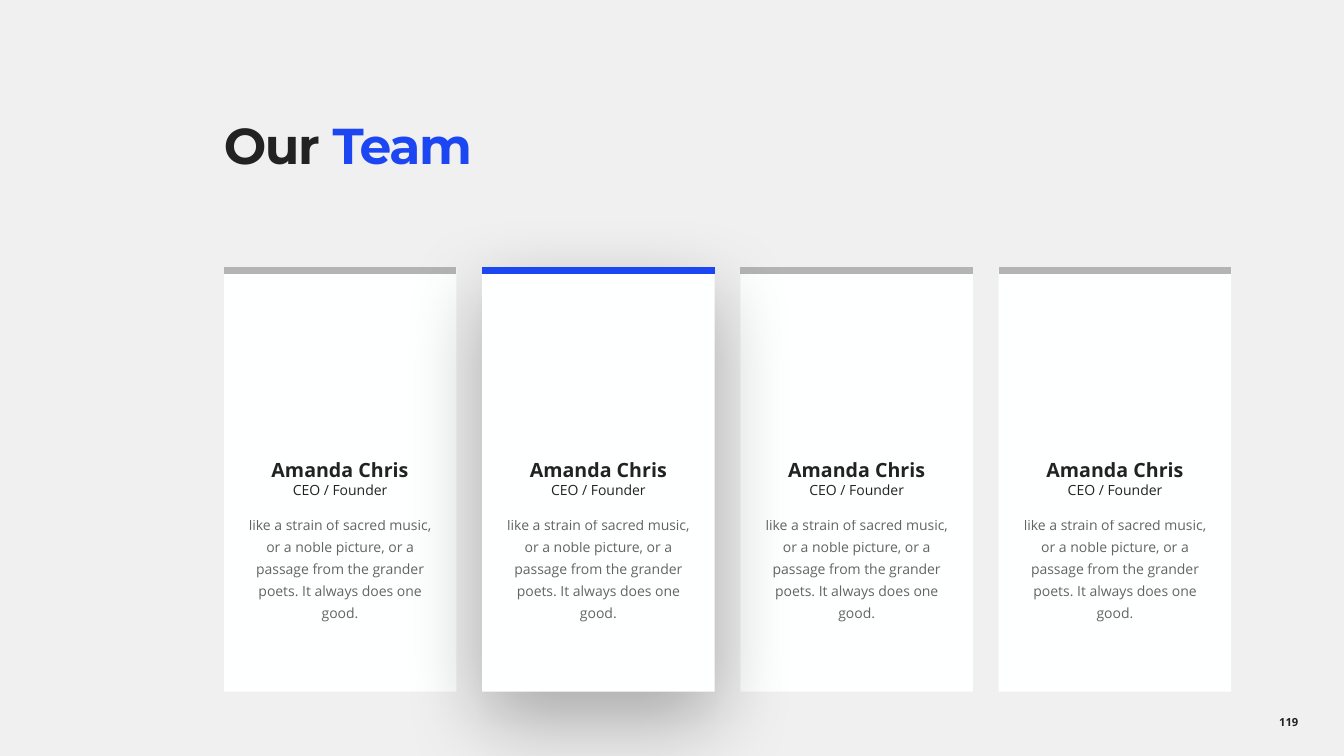
from copy import deepcopy

from lxml.etree import SubElement
from pptx import Presentation
from pptx.dml.color import RGBColor
from pptx.enum.shapes import MSO_CONNECTOR, MSO_SHAPE
from pptx.enum.text import MSO_ANCHOR as Anchor, PP_ALIGN as Align
from pptx.oxml.ns import qn
from pptx.util import Cm, Pt

TITLE = [("Our ", "ink"), ("Team", "blue")]
PAGE_NUMBER = "119"
BIO = ("like a strain of sacred music, or a noble picture, or a passage "
       "from the grander poets. It always does one good.")
MEMBERS = [("Amanda Chris", "CEO / Founder", BIO)] * 4
FEATURED = 1

COLOURS = {
    "background": "F0F0F0",
    "card": "FEFFFF",
    "ink": "222222",
    "blue": "1D46F3",
    "grey": "B4B4B4",
    "shadow": "000000",
}
HEADING_FONT, BODY_FONT = "Montserrat", "Open Sans"

CARD_LEFT, CARD_TOP = 5.64, 6.73
CARD_WIDTH, CARD_HEIGHT = 5.86, 10.7
CARD_PITCH = 6.51
BAR_WEIGHT = Pt(5)


def rgb(name):
    return RGBColor.from_string(COLOURS[name])


def style_run(run, size, font_name=BODY_FONT, bold=False, colour="ink"):
    run.font.name = font_name
    run.font.size = Pt(size)
    run.font.bold = bold
    run.font.color.rgb = rgb(colour)


def set_margins(text_frame, left, top, right, bottom):
    text_frame.margin_left, text_frame.margin_top = Cm(left), Cm(top)
    text_frame.margin_right, text_frame.margin_bottom = Cm(right), Cm(bottom)


def add_alpha(colour_element, percent):
    SubElement(colour_element, qn("a:alpha"), val=str(percent * 1000))


def cast_shadow(shape):
    """Give the shape a wide, soft shadow that falls straight down."""
    effects = shape._element.spPr.find(qn("a:effectLst"))
    shadow = SubElement(effects, qn("a:outerShdw"), blurRad=str(Pt(60)),
                        dist=str(Pt(20)), dir="5400000", algn="t",
                        rotWithShape="0")
    colour = SubElement(shadow, qn("a:srgbClr"), val=COLOURS["shadow"])
    add_alpha(colour, 30)


def write_member(text_frame, name, role, bio):
    text_frame.word_wrap = True
    text_frame.vertical_anchor = Anchor.TOP
    set_margins(text_frame, 0.51, 4.8, 0.51, 0.13)

    heading = text_frame.paragraphs[0]
    heading.text = f"{name}\v{role}"
    heading.alignment = Align.CENTER
    name_run, role_run = heading.runs
    style_run(name_run, 14, bold=True)
    style_run(role_run, 10)
    line_break = heading._p.find(qn("a:br"))
    line_break.append(deepcopy(name_run._r.rPr))

    description = text_frame.add_paragraph()
    description.text = bio
    description.alignment = Align.CENTER
    description.line_spacing = 1.3
    description.space_before = Pt(10)
    bio_run = description.runs[0]
    style_run(bio_run, 10)
    add_alpha(bio_run._r.rPr.find(".//" + qn("a:srgbClr")), 70)


def add_card(slide, index, member):
    featured = index == FEATURED
    left = CARD_LEFT + index * CARD_PITCH
    group = slide.shapes.add_group_shape()

    card = group.shapes.add_shape(MSO_SHAPE.RECTANGLE, Cm(left), Cm(CARD_TOP),
                                  Cm(CARD_WIDTH), Cm(CARD_HEIGHT))
    card.shadow.inherit = False
    card.fill.solid()
    card.fill.fore_color.rgb = rgb("card")
    card.line.fill.background()
    if featured:
        cast_shadow(card)
    write_member(card.text_frame, *member)

    bar_y = Cm(CARD_TOP) + BAR_WEIGHT // 2
    bar = group.shapes.add_connector(MSO_CONNECTOR.STRAIGHT, Cm(left), bar_y,
                                     Cm(left + CARD_WIDTH), bar_y)
    bar.line.color.rgb = rgb("blue" if featured else "grey")
    bar.line.width = BAR_WEIGHT
    SubElement(bar._element.spPr, qn("a:effectLst"))


def add_title(slide):
    box = slide.shapes.add_textbox(Cm(CARD_LEFT), Cm(2.64), Cm(25.43), Cm(3.48))
    box.text_frame.word_wrap = True
    set_margins(box.text_frame, 0, 0.53, 0, 0)
    paragraph = box.text_frame.paragraphs[0]
    paragraph.line_spacing = 0.8
    for text, colour in TITLE:
        run = paragraph.add_run()
        run.text = text
        style_run(run, 36, HEADING_FONT, True, colour)
        run._r.rPr.set("spc", "-100")


def add_page_number(slide):
    box = slide.shapes.add_textbox(Cm(31.09), Cm(17.68), Cm(2.78), Cm(1.02))
    box.text_frame.word_wrap = True
    box.text_frame.vertical_anchor = Anchor.MIDDLE
    paragraph = box.text_frame.paragraphs[0]
    paragraph.text = PAGE_NUMBER
    paragraph.alignment = Align.CENTER
    style_run(paragraph.runs[0], 8, bold=True)


def main():
    presentation = Presentation()
    presentation.slide_width, presentation.slide_height = Cm(33.87), Cm(19.05)
    slide = presentation.slides.add_slide(presentation.slide_layouts[6])
    slide.background.fill.solid()
    slide.background.fill.fore_color.rgb = rgb("background")

    add_page_number(slide)
    # The featured card comes last so that its shadow falls on its neighbours.
    for index in sorted(range(len(MEMBERS)), key=lambda i: i == FEATURED):
        add_card(slide, index, MEMBERS[index])
    add_title(slide)
    presentation.save("out.pptx")


if __name__ == "__main__":
    main()
